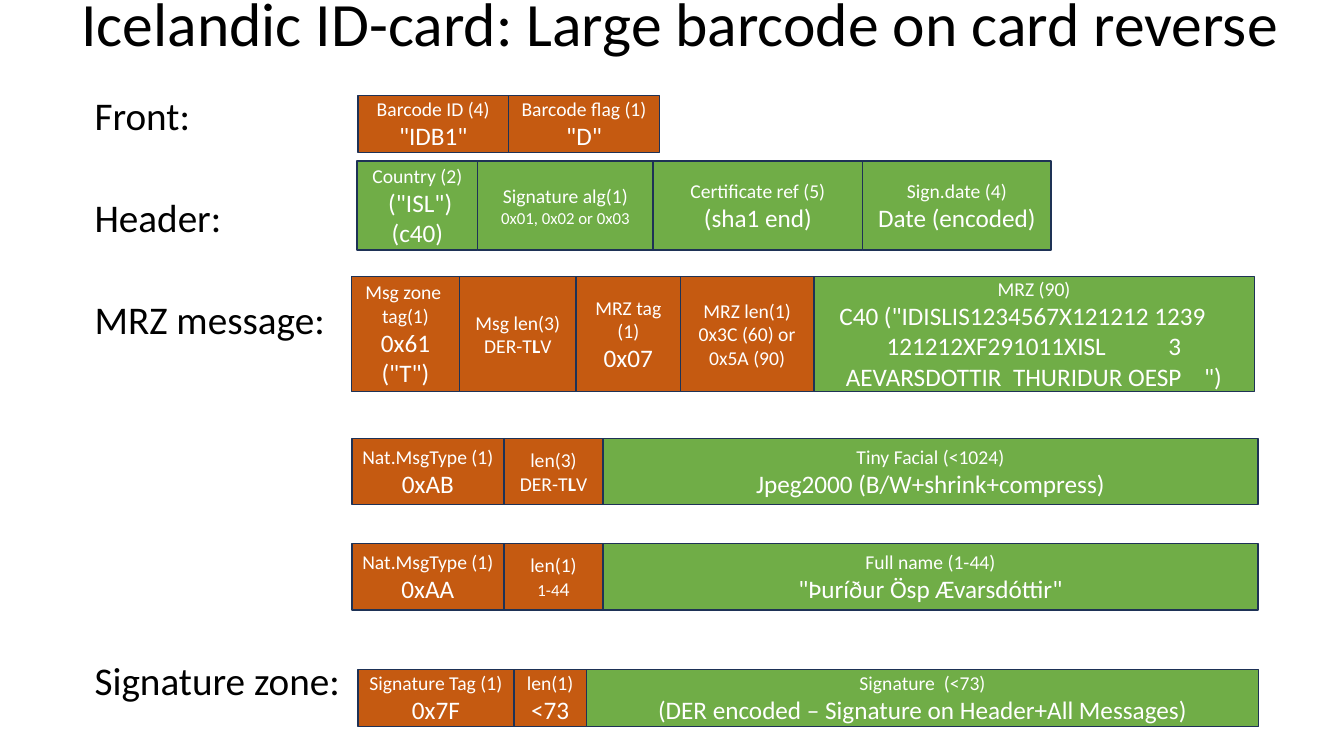
from copy import deepcopy
from dataclasses import dataclass

from pptx import Presentation
from pptx.dml.color import RGBColor
from pptx.enum.shapes import MSO_SHAPE
from pptx.enum.text import MSO_ANCHOR, MSO_AUTO_SIZE, PP_ALIGN
from pptx.util import Cm, Pt

RECT = MSO_SHAPE.RECTANGLE
MIDDLE, TOP = MSO_ANCHOR.MIDDLE, MSO_ANCHOR.TOP
LEFT, CENTER = PP_ALIGN.LEFT, PP_ALIGN.CENTER
FIXED = MSO_AUTO_SIZE.NONE


@dataclass(frozen=True)
class Theme:
    font: str = "Calibri"
    ink: str = "000000"
    white: str = "FFFFFF"
    rust: str = "C55A11"
    green: str = "70AD47"
    edge: str = "1E3256"
    title: int = 44
    label: int = 28
    value: int = 18
    name: int = 14
    small: int = 12


T = Theme()


@dataclass(frozen=True)
class Part:
    text: str
    size: int = T.name
    bold: bool = False


@dataclass(frozen=True)
class Cell:
    width: float
    fill: str
    lines: tuple[tuple[Part, ...], ...]


@dataclass(frozen=True)
class Row:
    left: float
    top: float
    height: float
    cells: tuple[Cell, ...]


@dataclass(frozen=True)
class Label:
    text: str
    gap: int


def field(width: float, fill: str, name: str, value: str, size: int = T.value) -> Cell:
    return Cell(width, fill, ((Part(name),), (Part(value, size),)))


def length(width: float, *parts: Part) -> Cell:
    return Cell(width, T.rust, (parts,))


def coded(width: float, name: str) -> Cell:
    return length(width, Part(name + "\nDER-T"), Part("L", bold=True), Part("V"))


ROWS = (
    Row(9.02, 2.4, 1.44, (
        field(3.8, T.rust, "Barcode ID (4)", '"IDB1"'),
        field(3.8, T.rust, "Barcode flag (1)", '"D"'),
    )),
    Row(9, 4.06, 2.24, (
        field(3.04, T.green, "Country (2)", ' ("ISL")(c40)'),
        field(4.42, T.green, "Signature alg(1)", "0x01, 0x02 or 0x03", T.small),
        field(5.28, T.green, "Certificate ref (5)", "(sha1 end)"),
        field(4.75, T.green, "Sign.date (4)", "Date (encoded)"),
    )),
    Row(8.86, 6.97, 2.9, (
        field(2.72, T.rust, "Msg zone  tag(1)", '0x61 ("T")'),
        coded(2.94, "Msg len(3)"),
        field(2.63, T.rust, "MRZ tag (1)", "0x07"),
        length(3.36, Part("MRZ len(1)\n0x3C (60) or 0x5A (90)")),
        field(11.1, T.green, "MRZ (90)",
              'C40 ("IDISLIS1234567X121212 1239    \n'
              "121212XF291011XISL           3\n"
              'AEVARSDOTTIR  THURIDUR OESP    ")'),
    )),
    Row(8.87, 11.05, 1.67, (
        field(3.83, T.rust, "Nat.MsgType (1)", "0xAB"),
        coded(2.5, "len(3)"),
        field(16.5, T.green, "Tiny Facial (<1024)", "Jpeg2000 (B/W+shrink+compress)"),
    )),
    Row(8.87, 13.7, 1.67, (
        field(3.83, T.rust, "Nat.MsgType (1)", "0xAA"),
        length(2.5, Part("len(1)\n"), Part("1-4", T.small), Part("4")),
        field(16.5, T.green, "Full name (1-44)", '"Þuríður Ösp Ævarsdóttir"'),
    )),
    Row(9.02, 16.87, 1.44, (
        field(3.93, T.rust, "Signature Tag (1)", "0x7F"),
        length(1.83, Part("len(1)\n"), Part("<73", T.value)),
        field(16.94, T.green, "Signature  (<73)",
              "(DER encoded – Signature on Header+All Messages)"),
    )),
)

LABELS = (
    Label("Front:", 10),
    Label("Header:", 46),
    Label("MRZ message:", 46),
    Label("Signature zone:", 231),
)


def write(para, text: str, *, size: int, color: str, bold: bool = False) -> None:
    for i, line in enumerate(text.split("\n")):
        if i:
            para.add_line_break()
            para._p[-1].append(deepcopy(run._r.rPr))
        if not line:
            continue
        run = para.add_run()
        run.text = line
        font = run.font
        font.name, font.size, font.bold = T.font, Pt(size), bold
        font.color.rgb = RGBColor.from_string(color)


def next_para(frame, index: int):
    return frame.add_paragraph() if index else frame.paragraphs[0]


def place(shape, left: float, top: float, width: float, height: float, anchor) -> None:
    shape.left, shape.top = Cm(left), Cm(top)
    shape.width, shape.height = Cm(width), Cm(height)
    frame = shape.text_frame
    frame.auto_size, frame.word_wrap = FIXED, True
    frame.vertical_anchor = anchor


def draw_title(shape) -> None:
    place(shape, 1.8, -1.07, 31.24, 3.48, MIDDLE)
    para = shape.text_frame.paragraphs[0]
    para.alignment, para.line_spacing = LEFT, 0.9
    write(para, "Icelandic ID-card: Large barcode on card reverse", size=T.title, color=T.ink)


def draw_labels(shape) -> None:
    place(shape, 2.13, 2.39, 29.49, 16.08, TOP)
    for i, label in enumerate(LABELS):
        para = next_para(shape.text_frame, i)
        para.alignment, para.line_spacing = LEFT, 0.8
        para.space_before = Pt(label.gap)
        props = para._p.get_or_add_pPr()
        props.set("marL", "0")
        props.set("indent", "0")
        props.append(props.makeelement(
            "{http://schemas.openxmlformats.org/drawingml/2006/main}buNone", {}))
        write(para, label.text, size=T.label, color=T.ink)


def draw_cell(slide, cell: Cell, left: float, row: Row) -> None:
    box = slide.shapes.add_shape(RECT, Cm(left), Cm(row.top), Cm(cell.width), Cm(row.height))
    box.shadow.inherit = False
    box.fill.solid()
    box.fill.fore_color.rgb = RGBColor.from_string(cell.fill)
    box.line.color.rgb = RGBColor.from_string(T.edge)
    box.line.width = Pt(1)
    box.text_frame.word_wrap = True
    box.text_frame.vertical_anchor = MIDDLE
    for i, parts in enumerate(cell.lines):
        para = next_para(box.text_frame, i)
        para.alignment = CENTER
        for part in parts:
            write(para, part.text, size=part.size, color=T.white, bold=part.bold)


def draw_row(slide, row: Row) -> None:
    left = row.left
    for cell in row.cells:
        draw_cell(slide, cell, left, row)
        left += cell.width


def main() -> None:
    deck = Presentation()
    deck.slide_width, deck.slide_height = Cm(33.87), Cm(19.05)
    slide = deck.slides.add_slide(deck.slide_layouts[1])
    draw_title(slide.shapes.title)
    draw_labels(slide.placeholders[1])
    for row in ROWS:
        draw_row(slide, row)
    deck.save("out.pptx")


if __name__ == "__main__":
    main()
